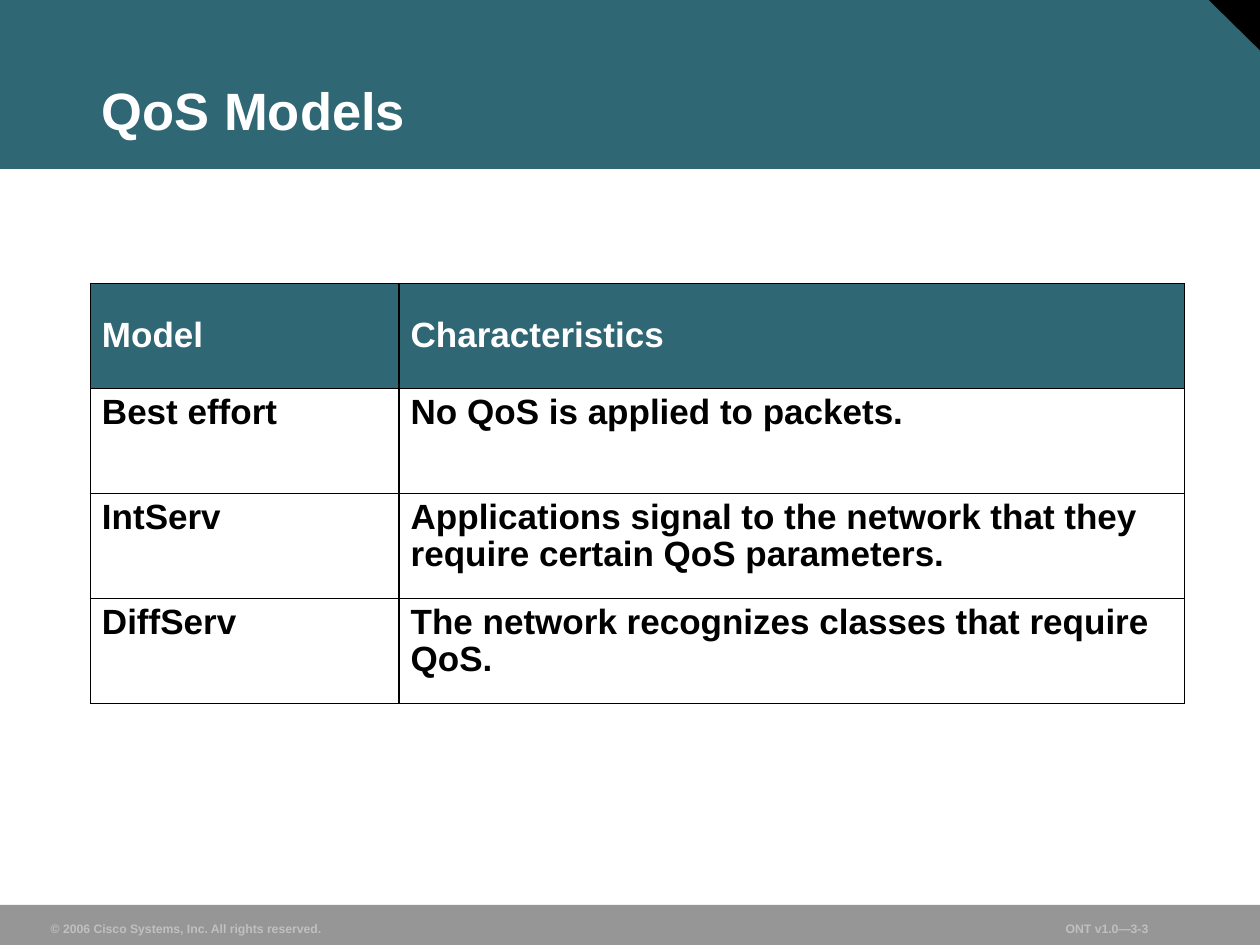
from lxml.etree import SubElement
from pptx import Presentation
from pptx.dml.color import RGBColor
from pptx.enum.shapes import MSO_SHAPE as Preset
from pptx.enum.text import MSO_ANCHOR as Anchor, MSO_AUTO_SIZE as AutoSize, PP_ALIGN as Align
from pptx.oxml.ns import qn
from pptx.util import Pt

COLORS = {
    "teal": "306774",
    "black": "000000",
    "white": "FFFFFF",
    "footer": "969696",
    "credit": "C0C0C0",
}
FONT = "Arial"
MODELS = [
    ("Model", "Characteristics"),
    ("Best effort", "No QoS is applied to packets."),
    ("IntServ", "Applications signal to the network that they require certain QoS parameters."),
    ("DiffServ", "The network recognizes classes that require QoS."),
]
COLUMN_WIDTHS = (176.4, 448.6)
ROW_HEIGHT = 60


def rgb(color):
    return RGBColor.from_string(COLORS[color])


def place(element, left, top, width, height):
    element.left, element.top = Pt(left), Pt(top)
    element.width, element.height = Pt(width), Pt(height)


def set_text(frame, wording, size, color, line_spacing=1.0):
    frame.text = wording
    paragraph = frame.paragraphs[0]
    paragraph.alignment = Align.LEFT
    paragraph.line_spacing = line_spacing
    paragraph.space_before = Pt(0)
    font = paragraph.runs[0].font
    font.name, font.size, font.bold = FONT, Pt(size), True
    font.color.rgb = rgb(color)


def set_margins(holder, side, end):
    holder.margin_left = holder.margin_right = Pt(side)
    holder.margin_top = holder.margin_bottom = Pt(end)


def add_block(slide, preset, color, left, top, width, height, rotation=0):
    block = slide.shapes.add_shape(preset, Pt(left), Pt(top), Pt(width), Pt(height))
    block.rotation = rotation
    block.shadow.inherit = False
    block.fill.solid()
    block.fill.fore_color.rgb = rgb(color)
    block.line.fill.background()


def add_credit(slide, wording, left, width):
    credit = slide.shapes.add_textbox(Pt(left), Pt(522.7), Pt(width), Pt(15))
    frame = credit.text_frame
    frame.word_wrap = False
    frame.auto_size = AutoSize.SHAPE_TO_FIT_TEXT
    frame.vertical_anchor = Anchor.BOTTOM
    set_margins(frame, 6.5, 3)
    set_text(frame, wording, 7, "credit")


def format_title(slide, wording):
    title = slide.shapes.title
    slide.shapes.element.append(title.element)
    place(title, 51.8, 18, 641.5, 66.2)
    frame = title.text_frame
    frame.word_wrap = True
    frame.auto_size = AutoSize.NONE
    frame.vertical_anchor = Anchor.BOTTOM
    set_margins(frame, 6.5, 3)
    set_text(frame, wording, 30, "white", 0.9)


def add_borders(cell):
    properties = cell._tc.get_or_add_tcPr()
    for position, side in enumerate(("lnL", "lnR", "lnT", "lnB")):
        border = properties.makeelement(qn(f"a:{side}"), {"w": str(Pt(1.08))})
        fill = SubElement(border, qn("a:solidFill"))
        SubElement(fill, qn("a:srgbClr"), val=COLORS["black"])
        properties.insert(position, border)


def add_model_table(slide):
    frame = slide.shapes.add_table(
        len(MODELS), len(COLUMN_WIDTHS), Pt(51.8), Pt(162),
        Pt(sum(COLUMN_WIDTHS)), Pt(ROW_HEIGHT * len(MODELS)))
    table = frame.table
    table.first_row = table.horz_banding = False
    for column, width in zip(table.columns, COLUMN_WIDTHS):
        column.width = Pt(width)
    for row_index, model in enumerate(MODELS):
        is_header = row_index == 0
        table.rows[row_index].height = Pt(ROW_HEIGHT)
        for cell, wording in zip(table.rows[row_index].cells, model):
            cell.fill.solid()
            cell.fill.fore_color.rgb = rgb("teal" if is_header else "white")
            cell.vertical_anchor = Anchor.MIDDLE if is_header else Anchor.TOP
            set_margins(cell, 6.5, 3.6)
            set_text(cell.text_frame, wording, 20, "white" if is_header else "black", 0.95)
            add_borders(cell)


def main():
    deck = Presentation()
    deck.slide_width, deck.slide_height = Pt(720), Pt(540)
    slide = deck.slides.add_slide(deck.slide_layouts[5])
    slide.background.fill.solid()
    slide.background.fill.fore_color.rgb = rgb("white")
    add_block(slide, Preset.RECTANGLE, "teal", 0, 0, 720, 96.5)
    add_block(slide, Preset.RIGHT_TRIANGLE, "black", 690, -0.7, 30, 29.5, 180)
    add_block(slide, Preset.RECTANGLE, "footer", 0, 517, 720, 23)
    add_credit(slide, "© 2006 Cisco Systems, Inc. All rights reserved.", 22.5, 167.8)
    add_credit(slide, "ONT v1.0—3-3", 602.5, 90)
    format_title(slide, "QoS Models")
    add_model_table(slide)
    deck.save("out.pptx")


if __name__ == "__main__":
    main()
